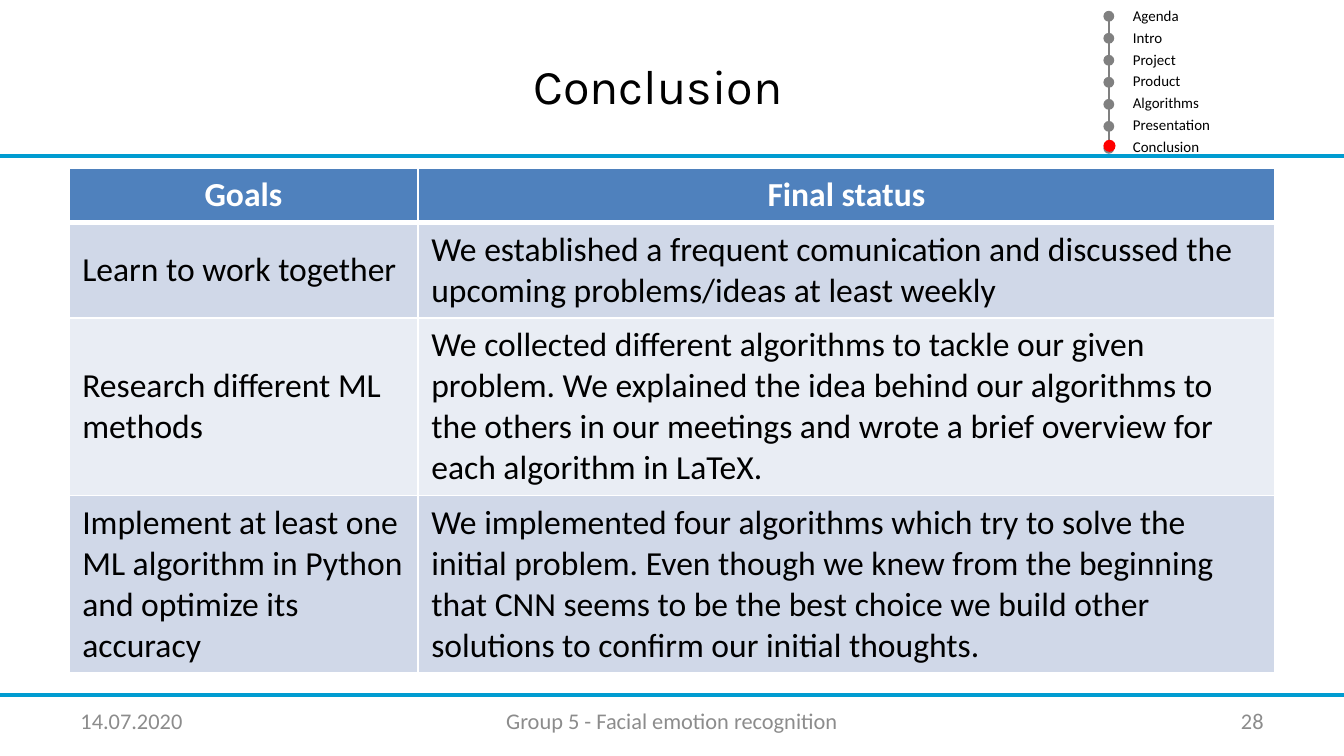
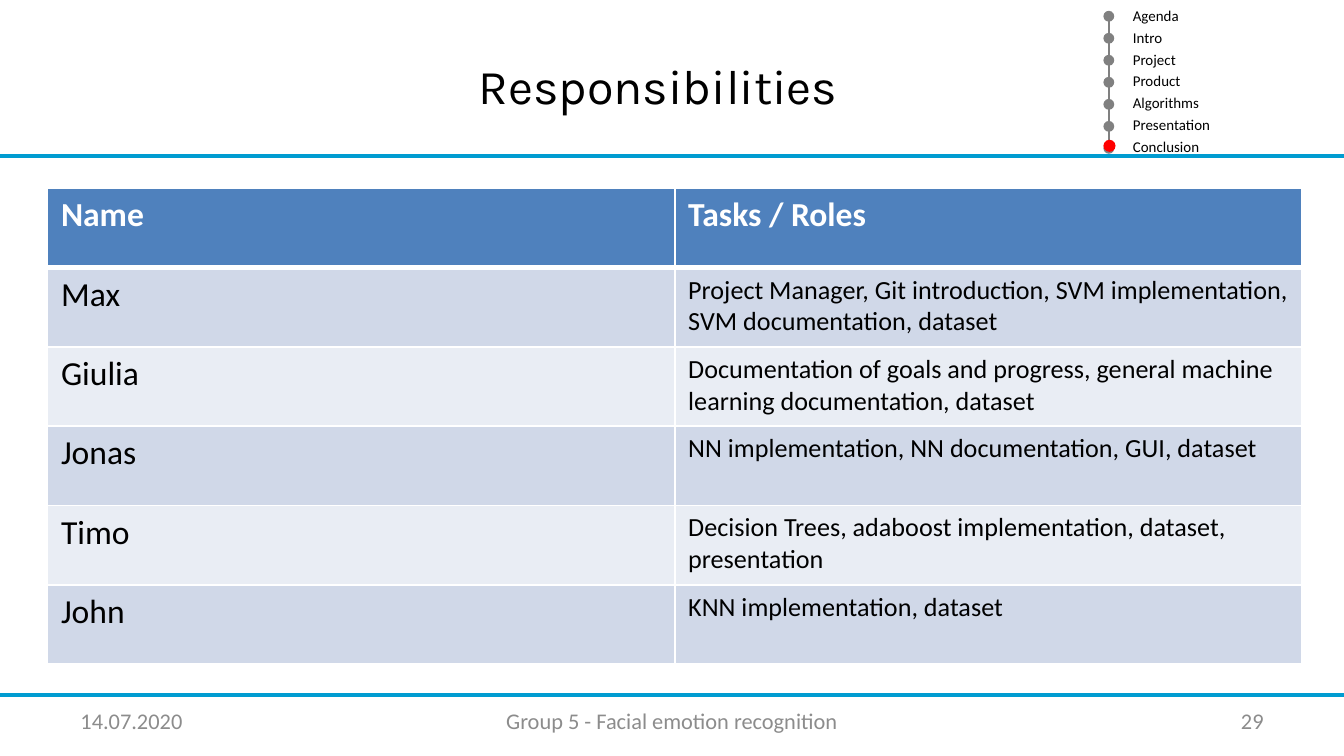
from dataclasses import dataclass

import lxml.etree
import pptx
import pptx.dml.color
import pptx.enum.shapes
import pptx.enum.text
import pptx.oxml.ns
import pptx.slide
import pptx.table
import pptx.text.text
import pptx.util

Pt = pptx.util.Pt
Align = pptx.enum.text.PP_ALIGN
Anchor = pptx.enum.text.MSO_ANCHOR
qn = pptx.oxml.ns.qn

COLOURS = {
    "text": "000000",
    "white": "FFFFFF",
    "rule": "009CD1",
    "track": "808080",
    "current": "FF0000",
    "footer": "8C8C8C",
    "header": "4F81BD",
    "odd_row": "D0D8E8",
    "even_row": "E9EDF4",
}
BODY_FONT = "Calibri"
TITLE_FONT = "Karla"
SECTIONS = ["Agenda", "Intro", "Project", "Product", "Algorithms", "Presentation", "Conclusion"]
TRACK_X = 594
DOT_LEFT = 591.1
DOT_TOP = 5.8
DOT_PITCH = 11.8
LABEL_PITCH = 11.7


@dataclass
class Label:
    text: str
    left: float
    top: float
    width: float
    height: float
    size: float
    colour: str
    align: Align = Align.LEFT
    anchor: Anchor = Anchor.TOP


@dataclass
class Line:
    start: tuple[float, float]
    end: tuple[float, float]
    colour: str
    width: float


@dataclass
class Dot:
    left: float
    top: float
    size: float
    colour: str


@dataclass
class Grid:
    left: float
    top: float
    columns: list[float]
    rows: list[float]
    cells: list[tuple[str, str]]
    header_align: Align
    first_anchor: Anchor
    detail_size: float


@dataclass
class Content:
    title: str
    number: int
    grid: Grid


def rgb(name: str) -> pptx.dml.color.RGBColor:
    return pptx.dml.color.RGBColor.from_string(COLOURS[name])


def style(para: pptx.text.text._Paragraph, size: float, colour: str, align: Align,
          font: str = BODY_FONT, bold: bool = False) -> None:
    para.alignment = align
    para.font.name = font
    para.font.size = Pt(size)
    para.font.bold = bold
    para.font.color.rgb = rgb(colour)


def draw_label(page: pptx.slide.Slide, label: Label) -> None:
    box = page.shapes.add_textbox(Pt(label.left), Pt(label.top), Pt(label.width), Pt(label.height))
    frame = box.text_frame
    frame.word_wrap = True
    frame.vertical_anchor = label.anchor
    frame.text = label.text
    style(frame.paragraphs[0], label.size, label.colour, label.align)


def draw_line(page: pptx.slide.Slide, line: Line) -> None:
    connector = page.shapes.add_connector(
        pptx.enum.shapes.MSO_CONNECTOR.STRAIGHT, *map(Pt, line.start + line.end))
    connector.line.color.rgb = rgb(line.colour)
    connector.line.width = Pt(line.width)
    lxml.etree.SubElement(connector._element.spPr, qn("a:effectLst"))


def draw_dot(page: pptx.slide.Slide, dot: Dot) -> None:
    shape = page.shapes.add_shape(
        pptx.enum.shapes.MSO_SHAPE.OVAL, Pt(dot.left), Pt(dot.top), Pt(dot.size), Pt(dot.size))
    shape.shadow.inherit = False
    shape.fill.solid()
    shape.fill.fore_color.rgb = rgb(dot.colour)
    shape.line.fill.background()


def draw_progress(page: pptx.slide.Slide) -> None:
    draw_line(page, Line((TRACK_X, 11.5), (TRACK_X, 76.3), "track", 1))
    for index, section in enumerate(SECTIONS):
        draw_dot(page, Dot(DOT_LEFT, DOT_TOP + index * DOT_PITCH, 5.8, "track"))
        draw_label(page, Label(section, 599.8, index * LABEL_PITCH, 93.6, 17, 8, "text"))
    draw_dot(page, Dot(DOT_LEFT, 74.9, 6.5, "current"))


def draw_footer(page: pptx.slide.Slide, number: int) -> None:
    for text, left, width, align in (
        ("14.07.2020", 36, 168, Align.LEFT),
        ("Group 5 - Facial emotion recognition", 246, 228, Align.CENTER),
        (str(number), 516, 168, Align.RIGHT),
    ):
        draw_label(page, Label(text, left, 375, width, 21.6, 12, "footer", align, Anchor.MIDDLE))


def draw_title(page: pptx.slide.Slide, text: str) -> None:
    title = page.shapes.title
    title.left, title.top, title.width, title.height = map(Pt, (16.6, 26.6, 672, 39.6))
    frame = title.text_frame
    frame.text = text
    frame.word_wrap = True
    frame.auto_size = pptx.enum.text.MSO_AUTO_SIZE.NONE
    frame.vertical_anchor = Anchor.TOP
    para = frame.paragraphs[0]
    para.space_before = Pt(3)
    style(para, 26, "text", Align.CENTER, TITLE_FONT)


def set_borders(cell: pptx.table._Cell, row: int) -> None:
    properties = cell._tc.get_or_add_tcPr()
    heavy = {0: "B", 1: "T"}.get(row)
    for side in "LRTB":
        width = Pt(3 if side == heavy else 1)
        border = lxml.etree.SubElement(properties, qn(f"a:ln{side}"), w=str(width))
        fill = lxml.etree.SubElement(border, qn("a:solidFill"))
        lxml.etree.SubElement(fill, qn("a:srgbClr"), val=COLOURS["white"])


def draw_grid(page: pptx.slide.Slide, grid: Grid) -> None:
    table = page.shapes.add_table(
        len(grid.rows), len(grid.columns), Pt(grid.left), Pt(grid.top),
        Pt(sum(grid.columns)), Pt(sum(grid.rows))).table
    for column, width in zip(table.columns, grid.columns):
        column.width = Pt(width)
    for table_row, height in zip(table.rows, grid.rows):
        table_row.height = Pt(height)
    for row, texts in enumerate(grid.cells):
        header = row == 0
        fill = "header" if header else "odd_row" if row % 2 else "even_row"
        for column, text in enumerate(texts):
            cell = table.cell(row, column)
            set_borders(cell, row)
            cell.fill.solid()
            cell.fill.fore_color.rgb = rgb(fill)
            cell.text = text
            first = column == 0
            cell.vertical_anchor = grid.first_anchor if first and not header else Anchor.TOP
            style(cell.text_frame.paragraphs[0],
                  18 if header or first else grid.detail_size,
                  "white" if header else "text",
                  grid.header_align if header else Align.LEFT,
                  bold=header)


GOALS = Grid(
    left=36.9, top=90, columns=[187, 459.2], rows=[29.2, 51.2, 95, 95],
    cells=[
        ("Goals", "Final status"),
        ("Learn to work together",
         "We established a frequent comunication and discussed the upcoming "
         "problems/ideas at least weekly"),
        ("Research different ML methods",
         "We collected different algorithms to tackle our given problem. We explained the idea "
         "behind our algorithms to the others in our meetings and wrote a brief overview for "
         "each algorithm in LaTeX."),
        ("Implement at least one ML algorithm in Python and optimize its accuracy",
         "We implemented four algorithms which try to solve the initial problem. Even though we "
         "knew from the beginning that CNN seems to be the best choice we build other solutions "
         "to confirm our initial thoughts."),
    ],
    header_align=Align.CENTER, first_anchor=Anchor.MIDDLE, detail_size=18)

ROLES = Grid(
    left=25.5, top=100.8, columns=[336, 336], rows=[42.5] * 6,
    cells=[
        ("Name", "Tasks / Roles"),
        ("Max",
         "Project Manager, Git introduction, SVM implementation, SVM documentation, dataset"),
        ("Giulia",
         "Documentation of goals and progress, general machine learning documentation, dataset"),
        ("Jonas", "NN implementation, NN documentation, GUI, dataset"),
        ("Timo", "Decision Trees, adaboost implementation, dataset, presentation"),
        ("John", "KNN implementation, dataset"),
    ],
    header_align=Align.LEFT, first_anchor=Anchor.TOP, detail_size=14)

CONTENTS = [Content("Conclusion", 28, GOALS), Content("Responsibilities", 29, ROLES)]


def main() -> None:
    deck = pptx.Presentation()
    deck.slide_width, deck.slide_height = Pt(720), Pt(405)
    for content in CONTENTS:
        page = deck.slides.add_slide(deck.slide_layouts.get_by_name("Title Only"))
        draw_title(page, content.title)
        draw_progress(page)
        for height in (83.5, 372.2):
            draw_line(page, Line((0, height), (720, height), "rule", 2))
        draw_footer(page, content.number)
        draw_grid(page, content.grid)
    deck.save("out.pptx")


if __name__ == "__main__":
    main()
